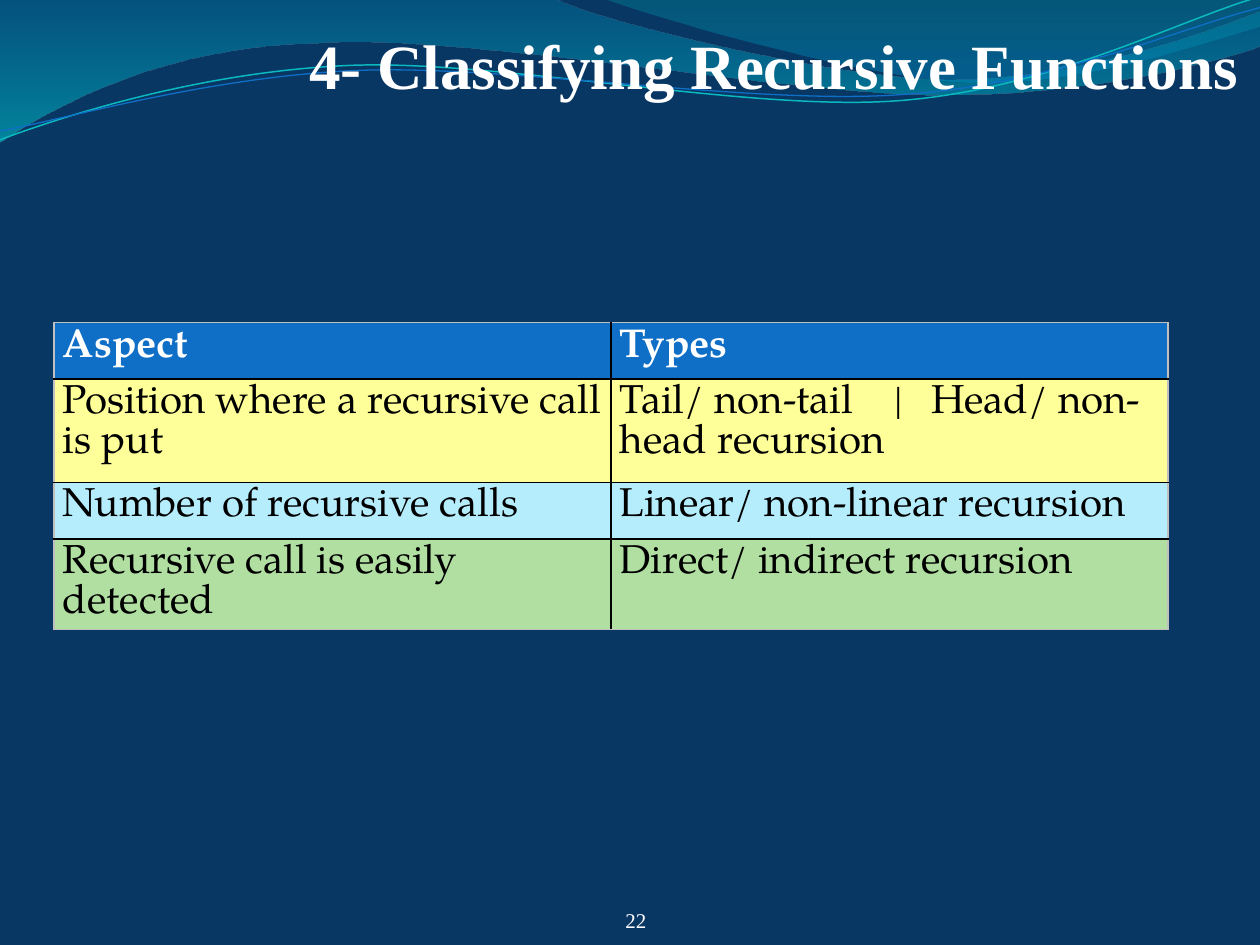
from lxml.etree import SubElement
from pptx import Presentation
from pptx.dml.color import RGBColor
from pptx.enum.text import MSO_ANCHOR as Anchor, PP_ALIGN as Align
from pptx.oxml.ns import qn
from pptx.util import Inches, Pt

BODY_FONT, TITLE_FONT = "TeX Gyre Pagella", "Times New Roman"
TITLE = "4- Classifying Recursive Functions"
PAGE_NUMBER = "22"

# Fill, height in inches, cells
ROWS = [
    ("0F6FC6", 0.45, ("Aspect", "Types")),
    ("FFFF99", 0.82, ("Position where a recursive call is put",
                      "Tail/ non-tail\t|\tHead/ non-head recursion")),
    ("B5EDFD", 0.45, ("Number of recursive calls", "Linear/ non-linear recursion")),
    ("B0DFA1", 0.45, ("Recursive call is easily detected", "Direct/ indirect recursion")),
]
COLUMN_WIDTH = 4.42
TAB_STOPS = (2.18, 2.47)

# A segment of one point is a line, of three points a Bezier curve.
# Gradient stops: position, colour, opacity in percent
BANDS = [
    ((0, 0),
     [[(4.4, -0.01)],
      [(4.76, 0.17), (6.64, 0.63), (7.58, 0.63)],
      [(8.53, 0.63), (9.58, 0.26), (10, 0.09)],
      [(10.01, 0.36)],
      [(9.83, 0.44), (8.7, 0.76), (7.46, 0.75)],
      [(6.22, 0.75), (3.82, 0.28), (2.57, 0.34)],
      [(1.29, 0.36), (0.46, 0.83), (-0.01, 1.13)]],
     [(0, "0074A1", 45), (1, "00C6CF", 55)]),
    ((4.79, -0.01),
     [[(5.09, 0.11), (6.82, 0.62), (7.69, 0.65)],
      [(8.56, 0.69), (9.61, 0.32), (10, 0.21)],
      [(10, 0)]],
     [(0, "00A1A9", 30), (0.8, "008BBF", 45)]),
]
WAVES = [
    ((0, 1.11),
     [[(0.48, 0.93), (1.58, 0.57), (2.77, 0.52)],
      [(3.95, 0.47), (5.93, 0.89), (7.13, 0.8)],
      [(8.33, 0.71), (9.38, 0.15), (9.98, -0.02)]],
     "0AB8BF", 0.85),
    ((0, 1.04),
     [[(0.47, 0.96), (1.64, 0.61), (2.83, 0.56)],
      [(4.03, 0.51), (5.97, 0.84), (7.17, 0.75)],
      [(8.36, 0.67), (9.41, 0.21), (10, 0.06)]],
     "0F6FC6", 0.75),
]


def rgb(value):
    return RGBColor.from_string(value)


def add_outline(slide, start, segments, close):
    """Build a freeform through all points, then turn each triple into a Bezier curve."""
    builder = slide.shapes.build_freeform(Inches(start[0]), Inches(start[1]))
    points = [(Inches(x), Inches(y)) for segment in segments for x, y in segment]
    builder.add_line_segments(points, close=close)
    outline = builder.convert_to_shape()
    outline.shadow.inherit = False
    lines = iter(list(outline._element.spPr.iter(qn("a:lnTo"))))
    for segment in segments:
        first, *others = [next(lines) for _ in segment]
        if others:
            first.tag = qn("a:cubicBezTo")
            for line in others:
                first.append(line[0])
                line.getparent().remove(line)
    return outline


def add_band(slide, start, segments, stops):
    band = add_outline(slide, start, segments, True)
    band.line.fill.background()
    band.fill.gradient()
    band.fill.gradient_angle = 270
    for stop, (position, color, _) in zip(band.fill.gradient_stops, stops):
        stop.position = position
        stop.color.rgb = rgb(color)
    for node, (_, _, opacity) in zip(band._element.spPr.iter(qn("a:srgbClr")), stops):
        SubElement(node, qn("a:alpha"), val=str(opacity * 1000))


def add_wave(slide, start, segments, color, width):
    wave = add_outline(slide, start, segments, False)
    wave.fill.background()
    wave.line.color.rgb = rgb(color)
    wave.line.width = Pt(width)


def write(paragraph, text, font, size, color, bold=False):
    run = paragraph.add_run()
    run.text = text
    run.font.name, run.font.size, run.font.bold = font, Pt(size), bold
    run.font.color.rgb = rgb(color)


def set_insets(frame, left, top, right, bottom):
    frame.margin_left, frame.margin_top = Inches(left), Inches(top)
    frame.margin_right, frame.margin_bottom = Inches(right), Inches(bottom)


def set_borders(cell, colors):
    properties = cell._tc.get_or_add_tcPr()
    for index, (side, color) in enumerate(colors.items()):
        line = SubElement(properties, qn(f"a:{side}"), w=str(Pt(1)))
        properties.insert(index, line)
        SubElement(SubElement(line, qn("a:solidFill")), qn("a:srgbClr"), val=color)


def add_types_table(slide):
    heights = [height for _, height, _ in ROWS]
    table = slide.shapes.add_table(len(ROWS), 2, Inches(0.43), Inches(2.56),
                                   Inches(2 * COLUMN_WIDTH), Inches(sum(heights))).table
    for column in table.columns:
        column.width = Inches(COLUMN_WIDTH)
    for r, (fill, height, texts) in enumerate(ROWS):
        table.rows[r].height = Inches(height)
        for c, text in enumerate(texts):
            cell = table.cell(r, c)
            cell.fill.solid()
            cell.fill.fore_color.rgb = rgb(fill)
            set_insets(cell, 0.07, 0.04, 0.07, 0.04)
            outer = {"lnL": c == 0, "lnR": c == 1, "lnT": r == 0, "lnB": r == len(ROWS) - 1}
            set_borders(cell, {side: "C0C0C0" if edge else "000000"
                               for side, edge in outer.items()})
            paragraph = cell.text_frame.paragraphs[0]
            paragraph.line_spacing = Pt(23)
            if "\t" in text:
                tabs = SubElement(paragraph._p.get_or_add_pPr(), qn("a:tabLst"))
                for stop in TAB_STOPS:
                    SubElement(tabs, qn("a:tab"), pos=str(Inches(stop)), algn="l")
            header = r == 0
            write(paragraph, text, BODY_FONT, 23, "FFFFFF" if header else "000000", header)


def fill_line(shape, text, size, bold=False, top_inset=0):
    frame = shape.text_frame
    frame.word_wrap = True
    frame.vertical_anchor = Anchor.BOTTOM
    set_insets(frame, 0, top_inset, 0, 0)
    paragraph = frame.paragraphs[0]
    paragraph.alignment = Align.RIGHT
    write(paragraph, text, TITLE_FONT, size, "FFFFFF", bold)


def main():
    deck = Presentation()
    deck.slide_width, deck.slide_height = Inches(10), Inches(7.5)
    slide = deck.slides.add_slide(deck.slide_layouts[5])
    slide.background.fill.solid()
    slide.background.fill.fore_color.rgb = rgb("083763")
    for band in BANDS:
        add_band(slide, *band)
    for wave in WAVES:
        add_wave(slide, *wave)
    add_types_table(slide)
    page_number = slide.shapes.add_textbox(Inches(4.85), Inches(7.11), Inches(0.28), Inches(0.29))
    fill_line(page_number, PAGE_NUMBER, 12)
    title = slide.shapes.title
    title.left, title.top = Inches(0.5), Inches(0.08)
    title.width, title.height = Inches(9.33), Inches(0.73)
    fill_line(title, TITLE, 36, bold=True, top_inset=0.04)
    slide.shapes._spTree.append(title._element)  # in front of the bands
    deck.save("out.pptx")


if __name__ == "__main__":
    main()
